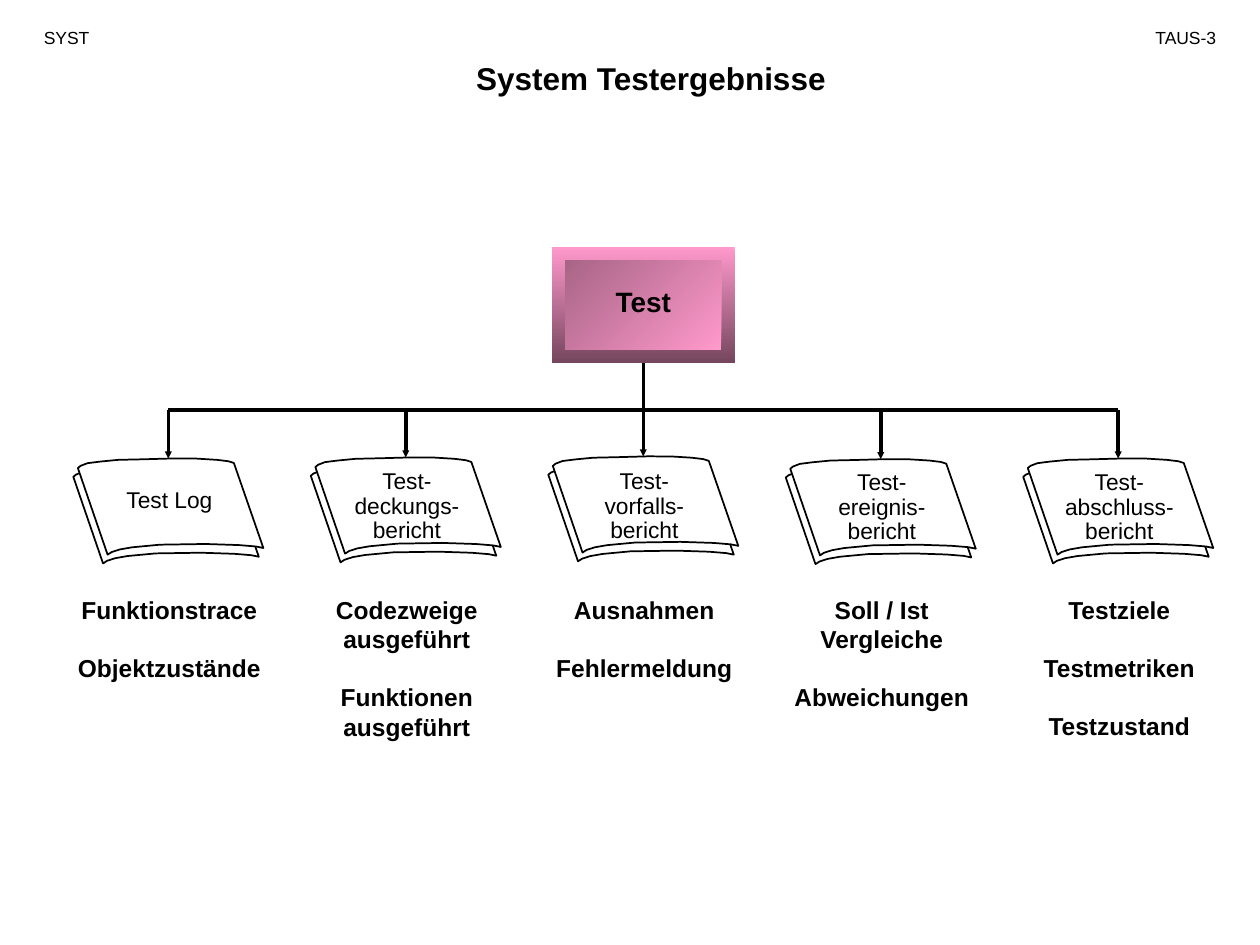
from lxml import etree
from pptx import Presentation
from pptx.dml.color import RGBColor
from pptx.enum.shapes import MSO_CONNECTOR, MSO_SHAPE
from pptx.enum.text import MSO_ANCHOR, PP_ALIGN
from pptx.oxml.ns import qn
from pptx.util import Pt

STRAIGHT, RECT = MSO_CONNECTOR.STRAIGHT, MSO_SHAPE.RECTANGLE
TOP, MIDDLE = MSO_ANCHOR.TOP, MSO_ANCHOR.MIDDLE
LEFT, CENTER, RIGHT = PP_ALIGN.LEFT, PP_ALIGN.CENTER, PP_ALIGN.RIGHT
COLORS = {"ink": "000000", "paper": "FFFFFF", "pink": "FF99CC",
          "plum": "75465E", "mauve": "A86586"}
rgb = {name: RGBColor.from_string(value) for name, value in COLORS.items()}

prs = Presentation()
prs.slide_width, prs.slide_height = Pt(720), Pt(540)
s = prs.slides.add_slide(prs.slide_layouts[6])


def add_text(x, y, w, h, groups, size, bold=False, align=CENTER, margins=(0, 0),
             spacing=1.0, gap=0, anchor=TOP, wrap=True):
    """Add a text box; each group is a list of lines, set apart by gap."""
    tf = s.shapes.add_textbox(Pt(x), Pt(y), Pt(w), Pt(h)).text_frame
    mx, my = Pt(margins[0]), Pt(margins[1])
    frame = {"margin_left": mx, "margin_right": mx, "margin_top": my,
             "margin_bottom": my, "word_wrap": wrap, "vertical_anchor": anchor}
    for key, value in frame.items():
        setattr(tf, key, value)
    for g, lines in enumerate(groups):
        for i, line in enumerate(lines):
            first = g == 0 and i == 0
            p = tf.paragraphs[0] if first else tf.add_paragraph()
            p.alignment, p.line_spacing = align, spacing
            if g and i == 0:
                p.space_before = Pt(gap)
            r = p.add_run()
            r.text = line
            for key, value in {"name": "Arial", "size": Pt(size), "bold": bold}.items():
                setattr(r.font, key, value)
            r.font.color.rgb = rgb["ink"]


def add_line(x1, y1, x2, y2, arrow=True):
    c = s.shapes.add_connector(STRAIGHT, Pt(x1), Pt(y1), Pt(x2), Pt(y2))
    c.line.width, c.line.color.rgb = Pt(2), rgb["ink"]
    if arrow:
        etree.SubElement(c.line._get_or_add_ln(), qn("a:tailEnd"),
                         type="triangle", w="sm", len="sm")
    etree.SubElement(c._element.spPr, qn("a:effectLst"))
    return c


# Header and title
add_text(18, 12.2, 66, 19.4, [["SYST"]], 10, align=LEFT, margins=(7.2, 3.6))
add_text(624, 12.2, 78, 19.4, [["TAUS-3"]], 10, align=RIGHT, margins=(7.2, 3.6))
add_text(156, 30.2, 432, 28.8, [["System Testergebnisse"]], 18, bold=True,
         margins=(7.2, 3.6))

# Column grid: five reports under one bar
STEP, ARROW_X, PAGE_X, TEXT_X, TEXT_W = 135.7, 96.2, 44.5, 42.2, 109.2
BAR_Y, MID_X = 234.2, ARROW_X + 2 * STEP

# Bevelled test box
bevels = [(MID_X - 52.2, 141.2, 104.4, 66.2, "plum", 270),
          (MID_X - 44.5, 148.8, 89, 51.2, "mauve", 135)]
boxes = []
for x, y, w, h, dark, angle in bevels:
    sp = s.shapes.add_shape(RECT, Pt(x), Pt(y), Pt(w), Pt(h))
    sp.shadow.inherit = False
    sp.line.fill.background()
    sp.fill.gradient()
    sp.fill.gradient_angle = angle
    for stop, name in zip(sp.fill.gradient_stops, ("pink", dark)):
        stop.color.rgb = rgb[name]
    boxes.append(sp)
add_text(MID_X - 23.4, 164.2, 46.8, 20.9, [["Test"]], 16, bold=True,
         margins=(7.2, 3.6), spacing=0.7, anchor=MIDDLE, wrap=False)

# Page outline, relative to its top left corner
PAGE = [(88.9, 2.5), (86, 1.6), (79.5, 0.8), (68, 0.1), (54.3, 0), (36.9, 0.5),
        (23, 0.8), (12.7, 1.8), (5.5, 2.7), (1.6, 4.2), (0, 5.5), (17, 55),
        (19.3, 53.5), (24, 52), (31, 50.8), (47, 49.3), (73, 48.9), (92, 49.5),
        (101.7, 50.3), (106, 51.2), (89.2, 2.7)]
BACK, FRONT = (-2.6, 5), (0, 0)

# Reports: page top, label top, label lines, content groups
reports = [
    (262, 279.4, ["Test Log"], [["Funktionstrace"], ["Objektzustände"]]),
    (261.4, 268.6, ["Test-", "deckungs-", "bericht"],
     [["Codezweige", "ausgeführt"], ["Funktionen", "ausgeführt"]]),
    (260.8, 268.6, ["Test-", "vorfalls-", "bericht"],
     [["Ausnahmen"], ["Fehlermeldung"]]),
    (262.4, 269.2, ["Test-", "ereignis-", "bericht"],
     [["Soll / Ist Vergleiche"], ["Abweichungen"]]),
    (262, 269.2, ["Test-", "abschluss-", "bericht"],
     [["Testziele"], ["Testmetriken"], ["Testzustand"]]),
]
for i, (top, label_y, label, contents) in enumerate(reports):
    dx = i * STEP
    for ox, oy in (BACK, FRONT):
        points = [(Pt(PAGE_X + dx + ox + x), Pt(top + oy + y)) for x, y in PAGE]
        fb = s.shapes.build_freeform(*points[0])
        fb.add_line_segments(points[1:], close=True)
        sp = fb.convert_to_shape()
        sp.shadow.inherit = False
        sp.fill.solid()
        sp.fill.fore_color.rgb = rgb["paper"]
        sp.line.width, sp.line.color.rgb = Pt(1), rgb["ink"]
    middle = i == 2
    x = ARROW_X + dx
    c = add_line(x, 207.4 if middle else BAR_Y, x, top)
    if middle:
        c.begin_connect(boxes[0], 2)
    add_text(TEXT_X + dx, label_y, TEXT_W, 14.4 * len(label), [label], 13, spacing=0.9)
    add_text(TEXT_X + dx, 339.8, TEXT_W, 72, contents, 14, bold=True, gap=16.5)

# Distribution bar
add_line(ARROW_X, BAR_Y, ARROW_X + 4 * STEP, BAR_Y, arrow=False)

prs.save("out.pptx")
